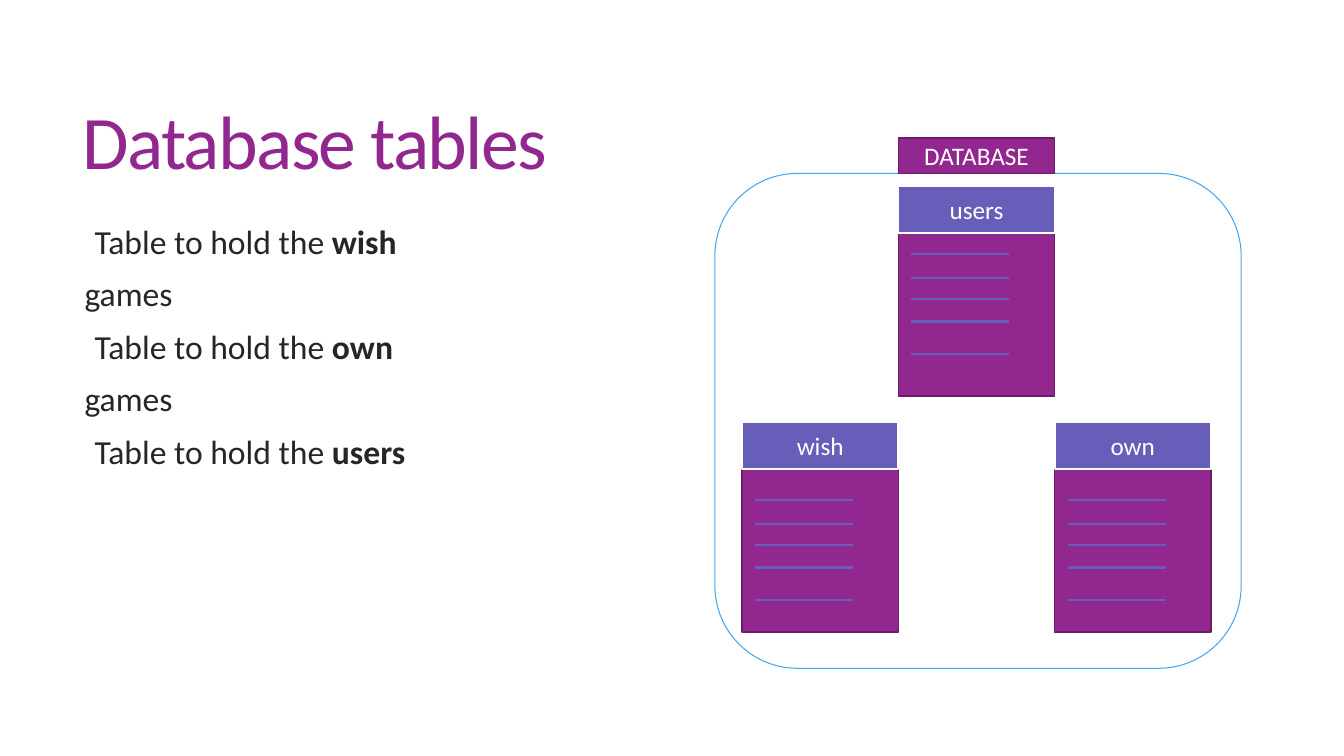
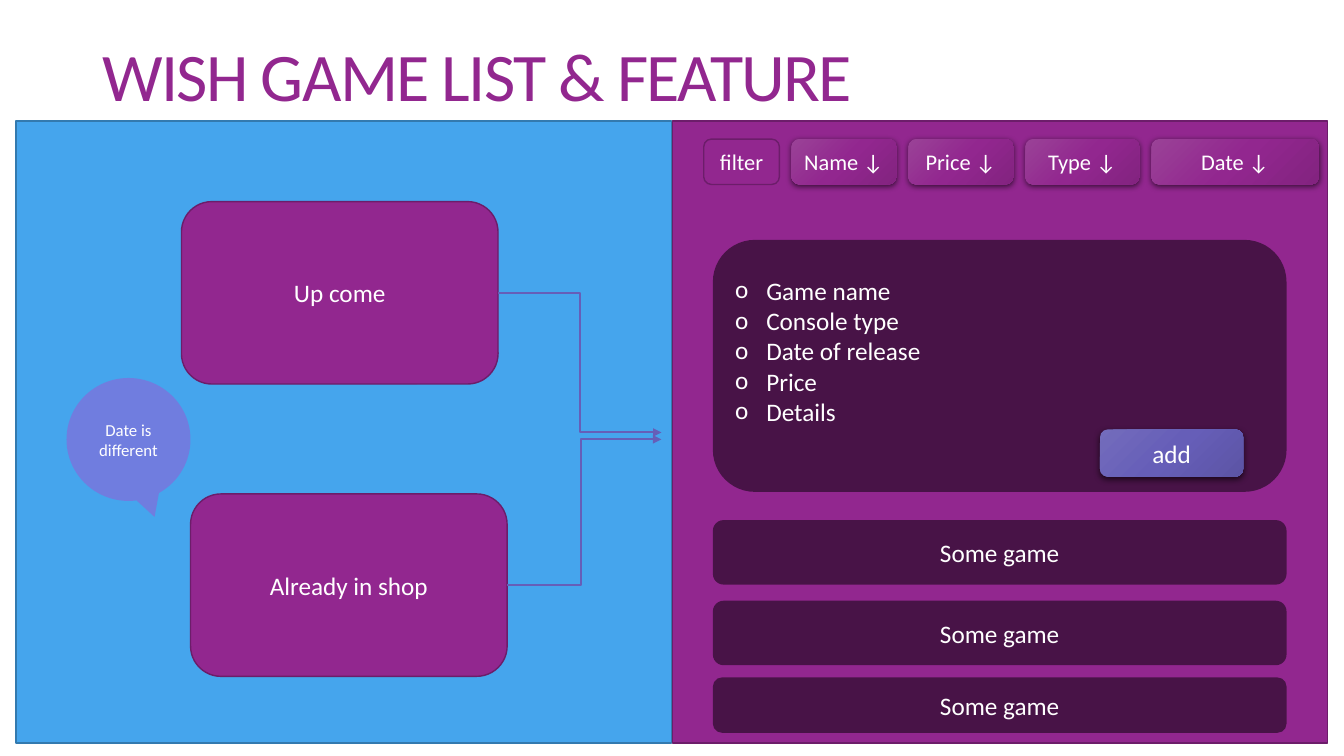
import copy

import pptx
import pptx.dml.color
import pptx.enum.shapes
import pptx.enum.text
import pptx.oxml
import pptx.oxml.ns
import pptx.util
from lxml import etree

RGB = pptx.dml.color.RGBColor
SHAPE = pptx.enum.shapes.MSO_SHAPE
CONNECTOR = pptx.enum.shapes.MSO_CONNECTOR
ALIGN = pptx.enum.text.PP_ALIGN
ANCHOR = pptx.enum.text.MSO_ANCHOR
qn = pptx.oxml.ns.qn

PURPLE = RGB(0x92, 0x27, 0x8F)
PURPLE_EDGE = RGB(0x6C, 0x1D, 0x6A)
VIOLET = RGB(0x66, 0x5E, 0xB8)
LILAC = RGB(0x9B, 0x57, 0xD3)
BLUE = RGB(0x45, 0xA5, 0xED)
BLUE_EDGE = RGB(0x33, 0x7A, 0xAF)
INK = RGB(0x26, 0x26, 0x26)
WHITE = RGB(0xFF, 0xFF, 0xFF)
BLACK = RGB(0, 0, 0)
PURPLE_GRADIENT = (RGB(0x9A, 0x42, 0x97), PURPLE, RGB(0x83, 0x23, 0x80))
VIOLET_GRADIENT = (RGB(0x73, 0x6C, 0xBC), VIOLET, RGB(0x5C, 0x54, 0xA5))

FONT = "Calibri"
EMU_PER_PX = 9144  # 100 px to the inch


def px(length):
    return pptx.util.Emu(length * EMU_PER_PX)


def sub(parent, tag, **attributes):
    return etree.SubElement(parent, qn(tag), {k: str(v) for k, v in attributes.items()})


# Text

def write_text(frame, paragraphs, size=18, color=WHITE, align=ALIGN.CENTER,
               anchor=ANCHOR.MIDDLE, line_spacing=None, space_before=0,
               tracking=None, bullet=None, indent=0):
    """Each paragraph is a list of (text, bold, bulleted) style runs, see body()."""
    frame.word_wrap = True
    frame.vertical_anchor = anchor
    for index, (bulleted, runs) in enumerate(paragraphs):
        paragraph = frame.paragraphs[0] if index == 0 else frame.add_paragraph()
        if bullet and bulleted:
            properties = paragraph._p.get_or_add_pPr()
            properties.set("marL", str(px(indent)))
            properties.set("indent", str(-px(indent)))
            sub(properties, "a:buFont", typeface=FONT)
            sub(properties, "a:buChar", char=bullet)
        paragraph.alignment = align
        if line_spacing:
            paragraph.line_spacing = line_spacing
        if index and space_before:
            paragraph.space_before = pptx.util.Pt(space_before)
        for text, bold in runs:
            run = paragraph.add_run()
            run.text = text
            run.font.name = FONT
            run.font.size = pptx.util.Pt(size)
            run.font.bold = bold
            run.font.color.rgb = color
            if tracking:
                run._r.get_or_add_rPr().set("spc", str(tracking))


def plain(*lines):
    return [(True, [(line, False)]) for line in lines]


def add_text(slide, box, paragraphs, **text_format):
    frame = slide.shapes.add_textbox(*map(px, box)).text_frame
    write_text(frame, paragraphs, align=ALIGN.LEFT, line_spacing=0.85, **text_format)


def add_title(slide, box, title, size):
    add_text(slide, box, plain(title), size=size, color=PURPLE, tracking=-120)


# Shapes and lines

def add_gradient(shape, colors):
    shape.fill.gradient()
    shape.fill.gradient_angle = 315
    stops = shape._element.spPr.find(qn("a:gradFill")).find(qn("a:gsLst"))
    stops.append(copy.deepcopy(stops[0]))
    for stop, position, color in zip(shape.fill.gradient_stops, (0, 0.5, 1), colors):
        stop.position = position
        stop.color.rgb = color


def add_box(slide, kind, box, fill=None, alpha=None, edge=None, edge_width=1,
            gradient=None, label=None, size=18):
    shape = slide.shapes.add_shape(kind, *map(px, box))
    shape.shadow.inherit = False
    if gradient:
        add_gradient(shape, gradient)
    elif fill is not None:
        shape.fill.solid()
        shape.fill.fore_color.rgb = fill
        if alpha:
            color = shape._element.spPr.find(qn("a:solidFill"))[0]
            sub(color, "a:alpha", val=alpha * 1000)
    else:
        shape.fill.background()
    if edge is None:
        shape.line.fill.background()
    else:
        shape.line.color.rgb = edge
        shape.line.width = pptx.util.Pt(edge_width)
    if label:
        write_text(shape.text_frame, plain(label), size=size)
    return shape


def add_button(slide, kind, box, label, gradient, size):
    button = add_box(slide, kind, box, gradient=gradient, label=label, size=size)
    effects = button._element.spPr.find(qn("a:effectLst"))
    shadow = sub(effects, "a:outerShdw", blurRad=57150, dist=19050, dir=5400000,
                 algn="ctr", rotWithShape=0)
    sub(sub(shadow, "a:srgbClr", val=BLACK), "a:alpha", val=63000)


def add_line(slide, kind, start, end):
    line = slide.shapes.add_connector(kind, *map(px, start + end))
    line.line.color.rgb = VIOLET
    line.line.width = pptx.util.Pt(1.5)
    sub(line._element.spPr, "a:effectLst")
    return line


def add_elbow_arrow(slide, source, start, end, bend=50000):
    arrow = add_line(slide, CONNECTOR.ELBOW, start, end)
    arrow.begin_connect(source, 3)
    properties = arrow._element.spPr
    sub(properties.find(qn("a:ln")), "a:tailEnd", type="triangle")
    geometry = properties.find(qn("a:prstGeom"))
    sub(geometry.find(qn("a:avLst")), "a:gd", name="adj1", fmla=f"val {bend}")


# Slide 1: database tables

TABLE_W, TABLE_H, HEADER_H = 155, 208, 46
ROW_STEPS = (0, 24, 45, 67, 99)


def add_table_card(slide, left, top, name, first_row):
    add_box(slide, SHAPE.RECTANGLE, (left, top, TABLE_W, TABLE_H), PURPLE, edge=PURPLE_EDGE)
    add_box(slide, SHAPE.RECTANGLE, (left, top, TABLE_W, HEADER_H), VIOLET,
            edge=WHITE, edge_width=1.5, label=name)
    for step in ROW_STEPS:
        y = top + first_row + step
        add_line(slide, CONNECTOR.STRAIGHT, (left + 13, y), (left + 110, y))


def add_database(slide, left, top, width, height):
    middle = left + 182
    add_table_card(slide, middle, top + 13, "users", 67)
    add_table_card(slide, middle + TABLE_W, top + 247, "own", 77)
    add_table_card(slide, middle - TABLE_W, top + 247, "wish", 77)
    add_box(slide, SHAPE.FLOWCHART_ALTERNATE_PROCESS, (left, top, width, height),
            edge=BLUE, edge_width=0.75)
    add_box(slide, SHAPE.RECTANGLE, (middle, top - 35, TABLE_W, 35), PURPLE,
            edge=PURPLE_EDGE, label="DATABASE")


def build_tables_slide(slide):
    add_title(slide, (72, 55, 1178, 181), "Database tables", 54)
    purposes = []
    for table, ending in (("wish", "games"), ("own", "games"), ("users", None)):
        purposes.append((True, [("Table to hold the ", False), (table, True)]))
        if ending:
            purposes.append((False, [(ending, False)]))
    add_text(slide, (74, 220, 1176, 412), purposes, size=24, color=INK,
             anchor=ANCHOR.TOP, space_before=13, bullet=" ", indent=10)
    add_database(slide, 709, 172, 522, 491)


# Slide 2: wish game list

def add_release_panel(slide, left, top, width, height):
    add_box(slide, SHAPE.RECTANGLE, (left, top, width, height), BLUE, edge=BLUE_EDGE)
    upcoming, in_shop = [
        add_box(slide, SHAPE.ROUNDED_RECTANGLE, (left + dx, top + dy, 314, 181),
                PURPLE, edge=PURPLE_EDGE, label=label)
        for dx, dy, label in ((164, 80, "Up come"), (173, 370, "Already in shop"))]
    tip = left + 640
    add_elbow_arrow(slide, upcoming, (left + 478, top + 170), (tip, top + 309))
    add_elbow_arrow(slide, in_shop, (left + 487, top + 464), (tip, top + 316), 47700)
    callout = add_box(slide, SHAPE.OVAL_CALLOUT, (left + 50, top + 255, 123, 122),
                      LILAC, alpha=50, label="Date is different", size=12)
    callout.adjustments[0] = 0.21
    callout.adjustments[1] = 0.63


def add_filter_bar(slide, left, top):
    height, gap = 45, 12
    add_box(slide, SHAPE.ROUNDED_RECTANGLE, (left, top, 75, height), PURPLE,
            edge=PURPLE_EDGE, label="filter", size=16)
    left += 75 + gap
    for label, width in (("Name ↓", 104), ("Price ↓", 104), ("Type ↓", 113), ("Date ↓", 166)):
        add_button(slide, SHAPE.ROUNDED_RECTANGLE, (left, top, width, height), label,
                   PURPLE_GRADIENT, 16)
        left += width + gap


def add_game_panel(slide, left, top, width, height):
    add_box(slide, SHAPE.RECTANGLE, (left, top, width, height), PURPLE, edge=PURPLE_EDGE)
    card = SHAPE.FLOWCHART_ALTERNATE_PROCESS
    card_left, card_width = left + 40, 569
    for dy, card_height in ((396, 64), (476, 64), (552, 55)):
        add_box(slide, card, (card_left, top + dy, card_width, card_height), BLACK,
                alpha=50, label="Some game")
    details = add_box(slide, card, (card_left, top + 118, card_width, 250), BLACK, alpha=50)
    details.text_frame.margin_bottom = px(35)
    write_text(details.text_frame,
               plain("Game name", "Console type", "Date of release", "Price", "Details"),
               align=ALIGN.LEFT, bullet="o", indent=31)
    add_button(slide, card, (left + 424, top + 306, 142, 47), "add", VIOLET_GRADIENT, 18)
    add_filter_bar(slide, left + 31, top + 18)


def build_wish_slide(slide):
    add_title(slide, (92, 40, 1150, 80), "WISH GAME LIST & FEATURE", 48.6)
    add_release_panel(slide, 16, 120, 650, 617)
    add_game_panel(slide, 667, 120, 650, 617)


def main():
    deck = pptx.Presentation()
    deck.slide_width, deck.slide_height = px(1333), px(750)
    for build in (build_tables_slide, build_wish_slide):
        build(deck.slides.add_slide(deck.slide_layouts[6]))
    deck.save("out.pptx")


if __name__ == "__main__":
    main()
